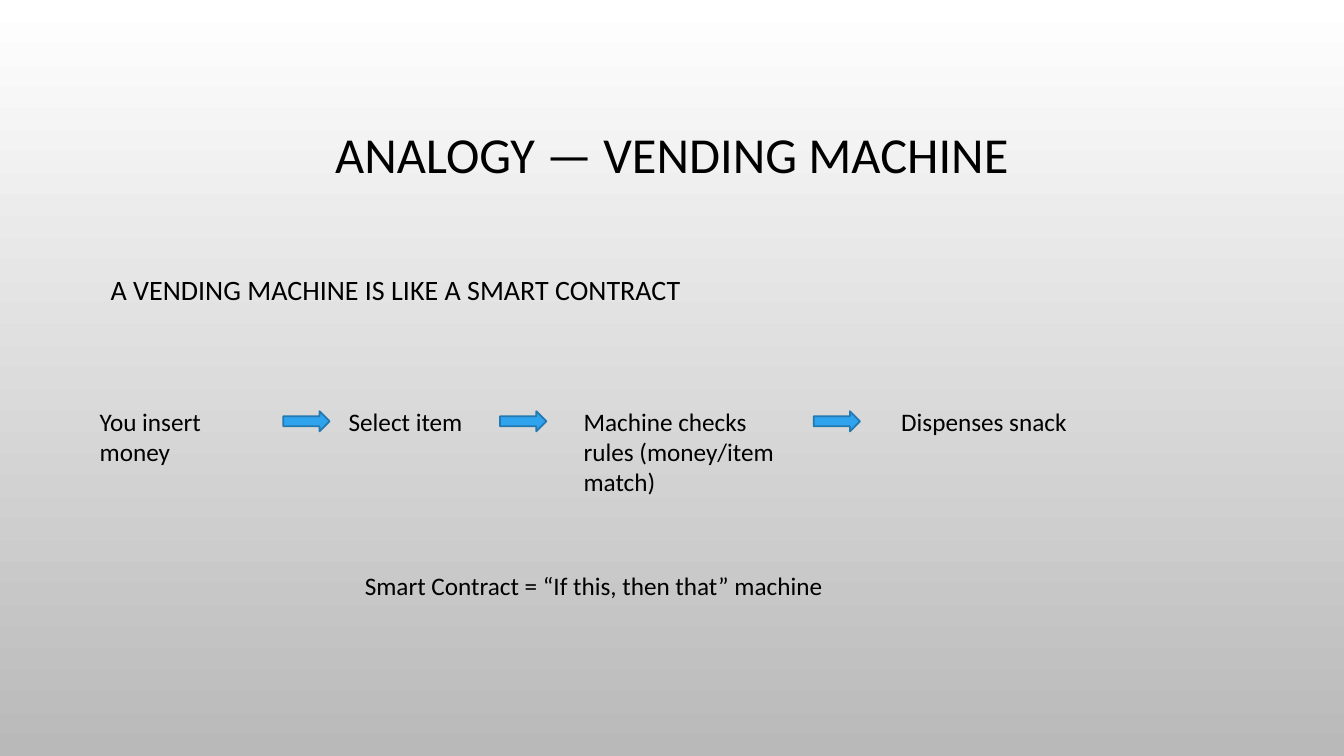
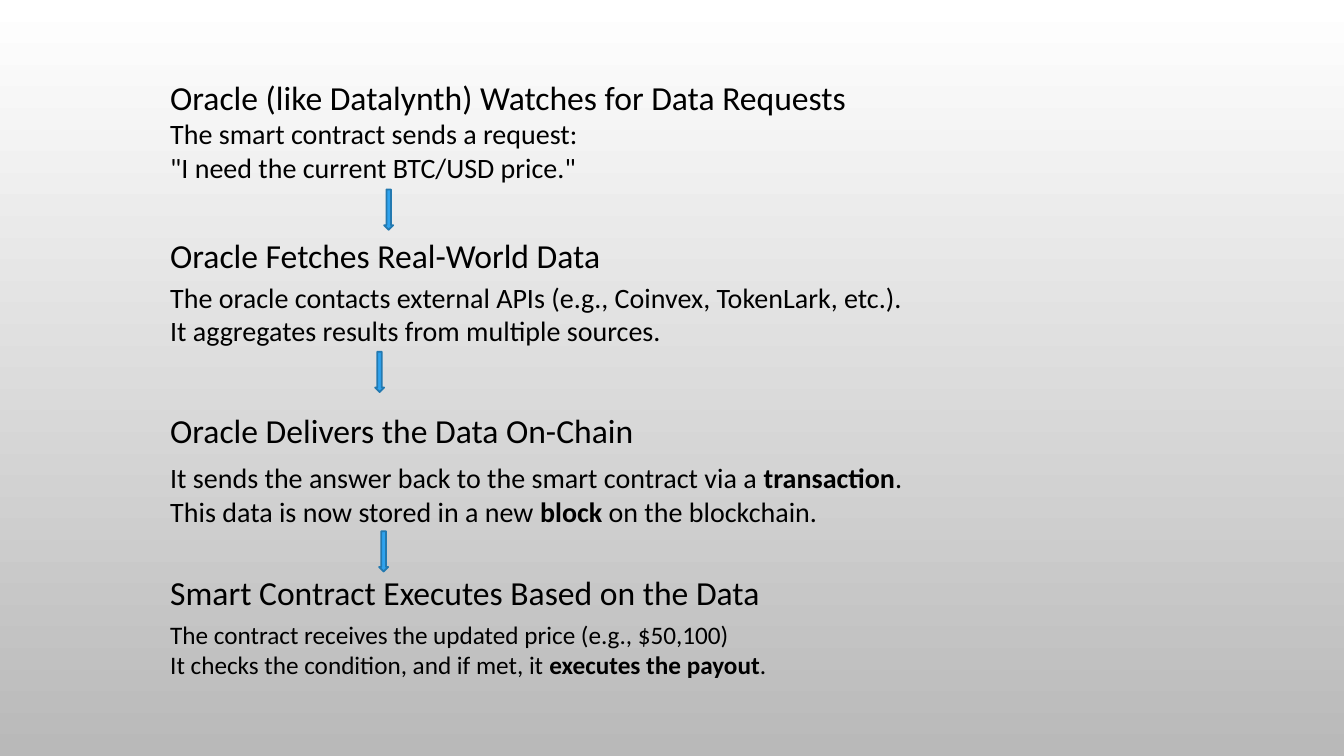
from dataclasses import dataclass

import pptx
import pptx.dml.color
import pptx.enum.shapes
import pptx.enum.text
import pptx.util

Inches = pptx.util.Inches
Pt = pptx.util.Pt
Shape = pptx.enum.shapes.MSO_SHAPE
Align = pptx.enum.text.PP_ALIGN
Anchor = pptx.enum.text.MSO_ANCHOR


def rgb(value):
    return pptx.dml.color.RGBColor.from_string(value)


@dataclass(frozen=True)
class Theme:
    font: str = "Calibri"
    text: str = "000000"
    top: str = "FFFFFF"
    bottom: str = "B9B9B9"
    arrow: str = "2FA3EE"
    outline: str = "2379B0"
    outline_width: float = 1.25
    title_size: int = 36
    heading_size: int = 24
    body_size: int = 20
    small_size: int = 18


THEME = Theme()
TITLE_ONLY, BLANK = 5, 6

TITLE = "ANALOGY — VENDING MACHINE"
SUBTITLE = "A VENDING MACHINE IS LIKE A SMART CONTRACT"
CONCLUSION = "Smart Contract = “If this, then that” machine"

# Step text, left, width, height
VENDING_STEPS = [
    ("You insert money", 0.89, 1.92, 0.4),
    ("Select item", 3.36, 1.33, 0.4),
    ("Machine checks rules (money/item match)", 5.69, 2.13, 1.01),
    ("Dispenses snack", 8.84, 1.87, 0.4),
]
VENDING_TOP = 3.98
VENDING_ARROW_LEFTS = [2.81, 4.96, 8.07]

# Each line is a list of spans; a span in a tuple is bold
ORACLE_STAGES = [
    dict(heading="Oracle (like Datalynth) Watches for Data Requests",
         top=0.71, body_top=1.11, size=THEME.body_size,
         lines=[["The smart contract sends a request:"],
                ['"I need the current BTC/USD price."']]),
    dict(heading="Oracle Fetches Real-World Data",
         top=2.28, body_top=2.73, size=THEME.body_size,
         lines=[["The oracle contacts external APIs (e.g., Coinvex, TokenLark, etc.)."],
                ["It aggregates results from multiple sources."]]),
    dict(heading="Oracle Delivers the Data On-Chain",
         top=4.02, body_top=4.52, size=THEME.body_size,
         lines=[["It sends the answer back to the smart contract via a ",
                 ("transaction",), "."],
                ["This data is now stored in a new ", ("block",),
                 " on the blockchain."]]),
    dict(heading="Smart Contract Executes Based on the Data",
         top=5.62, body_top=6.09, size=THEME.small_size,
         lines=[["The contract receives the updated price (e.g., $50,100)"],
                ["It checks the condition, and if met, it ",
                 ("executes the payout",), "."]]),
]
ORACLE_LEFT, ORACLE_WIDTH = 1.59, 9.8
ORACLE_ARROWS = [(3.81, 1.88), (3.72, 3.49), (3.76, 5.27)]


def write_lines(frame, lines, size):
    """Fill a text frame, one paragraph per line, one run per span."""
    frame.word_wrap = True
    for index, spans in enumerate(lines):
        para = frame.paragraphs[0] if index == 0 else frame.add_paragraph()
        for span in spans:
            bold = isinstance(span, tuple)
            run = para.add_run()
            run.text = span[0] if bold else span
            run.font.name = THEME.font
            run.font.size = Pt(size)
            run.font.bold = bold
            run.font.color.rgb = rgb(THEME.text)


def add_text(page, place, lines, size):
    box = page.shapes.add_textbox(*map(Inches, place))
    write_lines(box.text_frame, lines, size)
    return box


def add_arrow(page, kind, place):
    arrow = page.shapes.add_shape(kind, *map(Inches, place))
    arrow.shadow.inherit = False
    arrow.fill.solid()
    arrow.fill.fore_color.rgb = rgb(THEME.arrow)
    arrow.line.color.rgb = rgb(THEME.outline)
    arrow.line.width = Pt(THEME.outline_width)


def set_background(master):
    fill = master.background.fill
    fill.gradient()
    fill.gradient_angle = 270
    for stop, color in zip(fill.gradient_stops, (THEME.top, THEME.bottom)):
        stop.color.rgb = rgb(color)


def set_title(page, text):
    title = page.shapes.title
    title.left, title.top, title.width, title.height = map(
        Inches, (1, 0.68, 11.33, 1.75))
    write_lines(title.text_frame, [[text]], THEME.title_size)
    title.text_frame.vertical_anchor = Anchor.MIDDLE
    para = title.text_frame.paragraphs[0]
    para.alignment = Align.CENTER
    para.line_spacing = 0.9


def build_vending_page(deck):
    page = deck.slides.add_slide(deck.slide_layouts[TITLE_ONLY])
    set_title(page, TITLE)
    subtitle = add_text(page, (1, 2.59, 11.33, 0.74), [[SUBTITLE]], THEME.body_size)
    para = subtitle.text_frame.paragraphs[0]
    para.line_spacing = 1.2
    para.space_before = Pt(10)
    for text, left, width, height in VENDING_STEPS:
        add_text(page, (left, VENDING_TOP, width, height), [[text]], THEME.small_size)
    for left in VENDING_ARROW_LEFTS:
        add_arrow(page, Shape.RIGHT_ARROW, (left, VENDING_TOP + 0.1, 0.46, 0.2))
    add_text(page, (3.52, 5.61, 6.67, 0.4), [[CONCLUSION]], THEME.small_size)


def build_oracle_page(deck):
    page = deck.slides.add_slide(deck.slide_layouts[BLANK])
    for stage in ORACLE_STAGES:
        add_text(page, (ORACLE_LEFT, stage["top"], ORACLE_WIDTH, 0.5),
                 [[stage["heading"]]], THEME.heading_size)
        add_text(page, (ORACLE_LEFT, stage["body_top"], ORACLE_WIDTH, 0.77),
                 stage["lines"], stage["size"])
    for left, top in ORACLE_ARROWS:
        add_arrow(page, Shape.DOWN_ARROW, (left, top, 0.09, 0.4))


def main():
    deck = pptx.Presentation()
    deck.slide_width, deck.slide_height = Inches(13.33), Inches(7.5)
    set_background(deck.slide_master)
    build_vending_page(deck)
    build_oracle_page(deck)
    deck.save("out.pptx")


if __name__ == "__main__":
    main()
